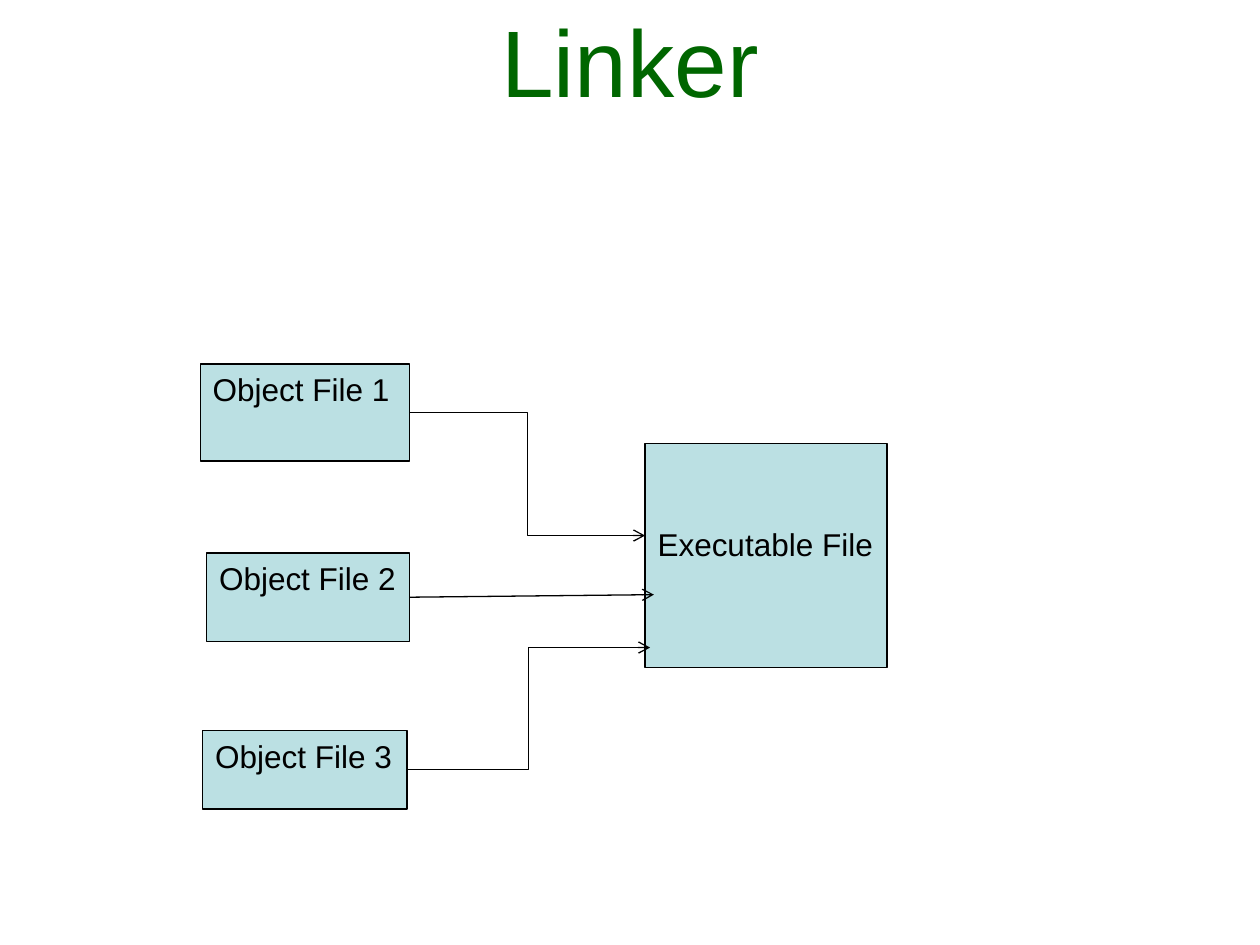
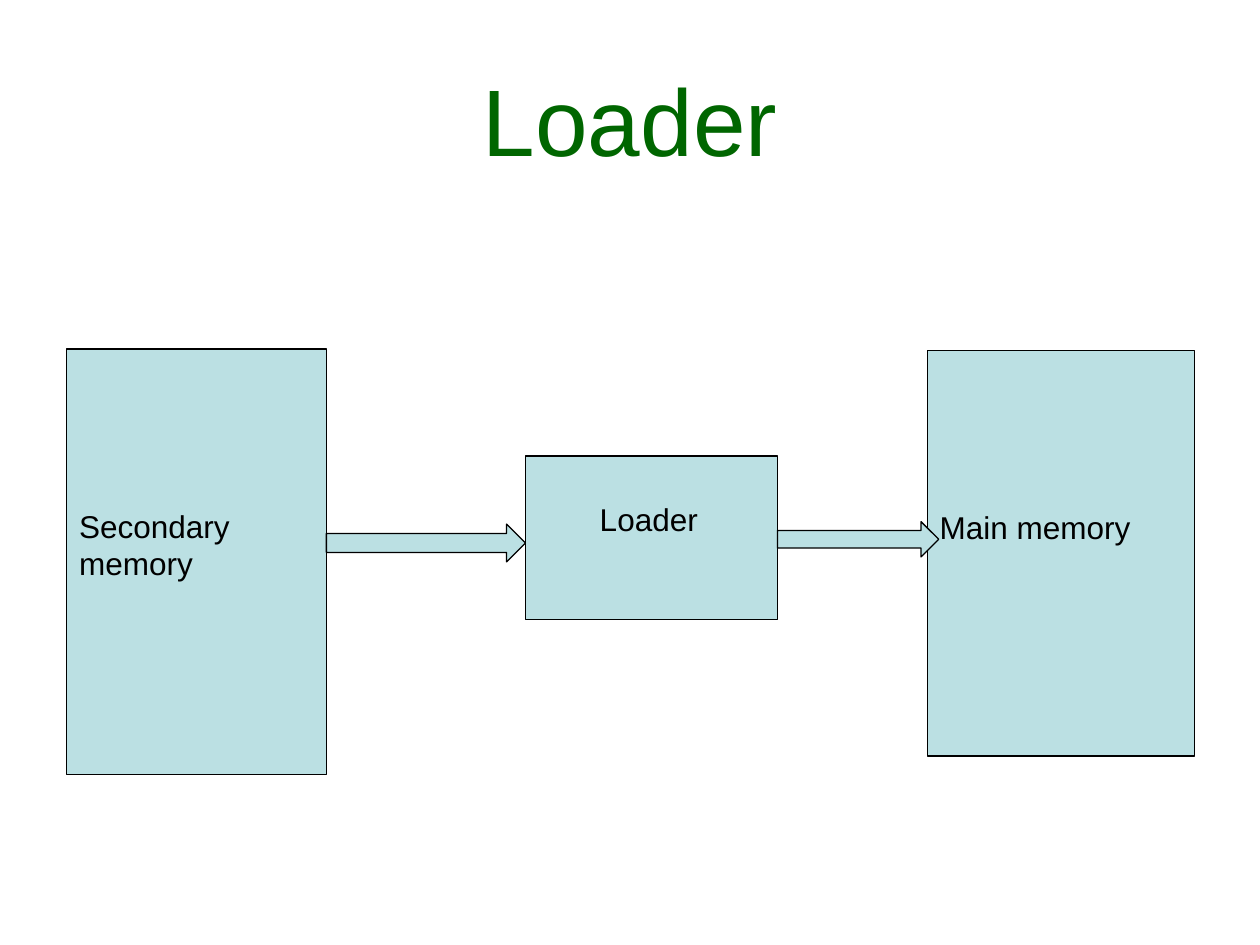
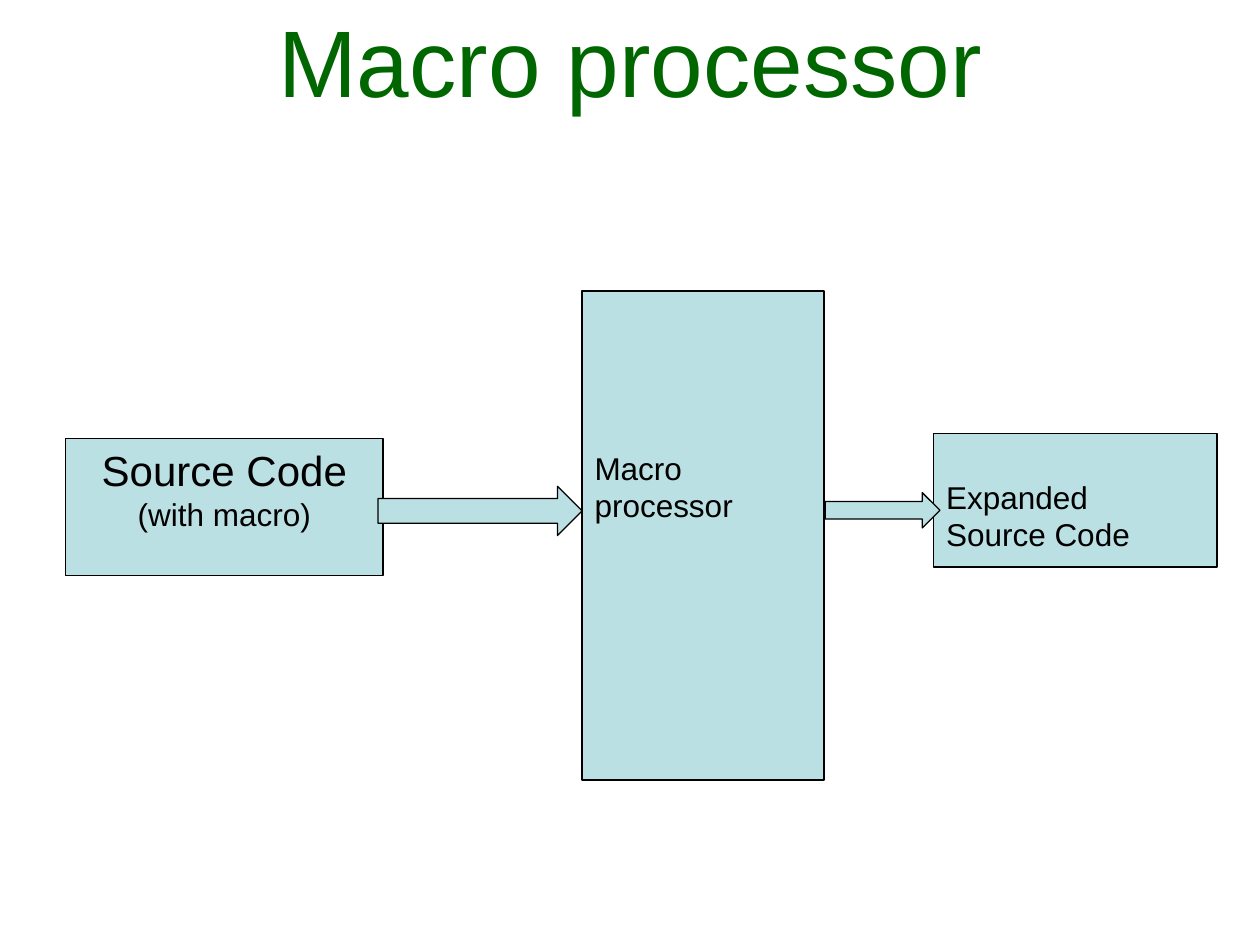
from pptx import Presentation
from pptx.dml.color import RGBColor
from pptx.enum.shapes import MSO_CONNECTOR as Connector, MSO_SHAPE as Shape
from pptx.enum.text import MSO_ANCHOR as Anchor, PP_ALIGN as Align
from pptx.oxml.ns import qn
from pptx.util import Inches, Pt
from lxml.etree import SubElement

COLORS = {"title": "006600", "box": "BBE0E3", "ink": "000000"}
FONT = "Arial"
LINE_WIDTH = Pt(0.75)
TOP_INSET = 0.05
LINE_PITCH = 0.3


def color(name):
    return RGBColor.from_string(COLORS[name])


def style_paragraph(paragraph, size, color_name, align):
    paragraph.alignment = align
    for run in paragraph.runs:
        run.font.name = FONT
        run.font.size = Pt(size)
        run.font.color.rgb = color(color_name)


def add_titled_slide(presentation, title, top, height):
    slide = presentation.slides.add_slide(presentation.slide_layouts[5])
    shape = slide.shapes.title
    shape.left, shape.top = Inches(0.5), Inches(top)
    shape.width, shape.height = Inches(9), Inches(height)
    shape.text_frame.text = title
    shape.text_frame.vertical_anchor = Anchor.MIDDLE
    style_paragraph(shape.text_frame.paragraphs[0], 54, "title", Align.CENTER)
    return slide


def add_filled_shape(slide, kind, left, top, width, height):
    shape = slide.shapes.add_shape(
        kind, Inches(left), Inches(top), Inches(width), Inches(height))
    shape.shadow.inherit = False
    shape.fill.solid()
    shape.fill.fore_color.rgb = color("box")
    shape.line.color.rgb = color("ink")
    shape.line.width = LINE_WIDTH
    return shape


def add_box(slide, bounds, text, lines_down=0, left_inset=0.1, right_inset=0.1,
            sizes=(18,), align=Align.LEFT):
    shape = add_filled_shape(slide, Shape.RECTANGLE, *bounds)
    frame = shape.text_frame
    frame.word_wrap = True
    frame.vertical_anchor = Anchor.TOP
    frame.margin_top = Inches(TOP_INSET + lines_down * LINE_PITCH)
    frame.margin_left = Inches(left_inset)
    frame.margin_right = Inches(right_inset)
    frame.text = text
    for paragraph, size in zip(frame.paragraphs, sizes):
        style_paragraph(paragraph, size, "ink", align)
    return shape


def add_arrow_line(slide, kind, start, end):
    connector = slide.shapes.add_connector(
        kind, *(Inches(value) for value in (*start, *end)))
    connector.line.color.rgb = color("ink")
    connector.line.width = LINE_WIDTH
    properties = connector._element.spPr
    SubElement(properties.find(qn("a:ln")), qn("a:tailEnd"), type="arrow")
    SubElement(properties, qn("a:effectLst"))
    return connector


def draw_linking(slide, left, top):
    object_files = [
        ((0, 0, 1.66, 0.77), Connector.ELBOW, (3.53, 1.36)),
        ((0.05, 1.5, 1.61, 0.7), Connector.STRAIGHT, (3.6, 1.83)),
        ((0.02, 2.91, 1.62, 0.62), Connector.ELBOW, (3.57, 2.25)),
    ]
    add_box(slide, (left + 3.53, top + 0.63, 1.92, 1.78), "Executable File", 2)
    for number, (bounds, kind, end) in enumerate(object_files, 1):
        x, y, width, height = bounds
        x, y = left + x, top + y
        box = add_box(slide, (x, y, width, height), f"Object File {number}")
        link = add_arrow_line(slide, kind, (x + width, y + height / 2),
                              (left + end[0], top + end[1]))
        if kind == Connector.STRAIGHT:
            link.begin_connect(box, 3)


def draw_loading(slide, left, top):
    add_box(slide, (left, top, 2.06, 3.38), "Secondary memory", 4)
    add_box(slide, (left + 6.83, top + 0.01, 2.12, 3.22), "Main memory", 4)
    add_box(slide, (left + 3.64, top + 0.85, 2, 1.3), "Loader", 1, left_inset=0.59)
    add_filled_shape(slide, Shape.RIGHT_ARROW, left + 2.06, top + 1.39, 1.58, 0.3)
    add_filled_shape(slide, Shape.RIGHT_ARROW, left + 5.64, top + 1.37, 1.28, 0.28)


def draw_macro_expansion(slide, left, top):
    add_box(slide, (left, top + 1.17, 2.52, 1.09), "Source Code\n(with macro)",
            sizes=(24, 18), align=Align.CENTER)
    add_box(slide, (left + 6.89, top + 1.13, 2.25, 1.06), "Expanded Source Code", 1,
            right_inset=0.4)
    add_box(slide, (left + 4.1, top, 1.92, 3.88), "Macro processor", 4)
    add_filled_shape(slide, Shape.RIGHT_ARROW, left + 2.48, top + 1.55, 1.62, 0.39)
    add_filled_shape(slide, Shape.RIGHT_ARROW, left + 6.03, top + 1.6, 0.91, 0.28)


def main():
    presentation = Presentation()
    presentation.slide_width, presentation.slide_height = Inches(10), Inches(7.5)
    draw_linking(add_titled_slide(presentation, "Linker", 0, 0.95), 1.59, 2.89)
    draw_loading(add_titled_slide(presentation, "Loader", 0.32, 1.25), 0.53, 2.77)
    draw_macro_expansion(
        add_titled_slide(presentation, "Macro processor", 0, 0.95), 0.52, 2.31)
    presentation.save("out.pptx")


if __name__ == "__main__":
    main()
